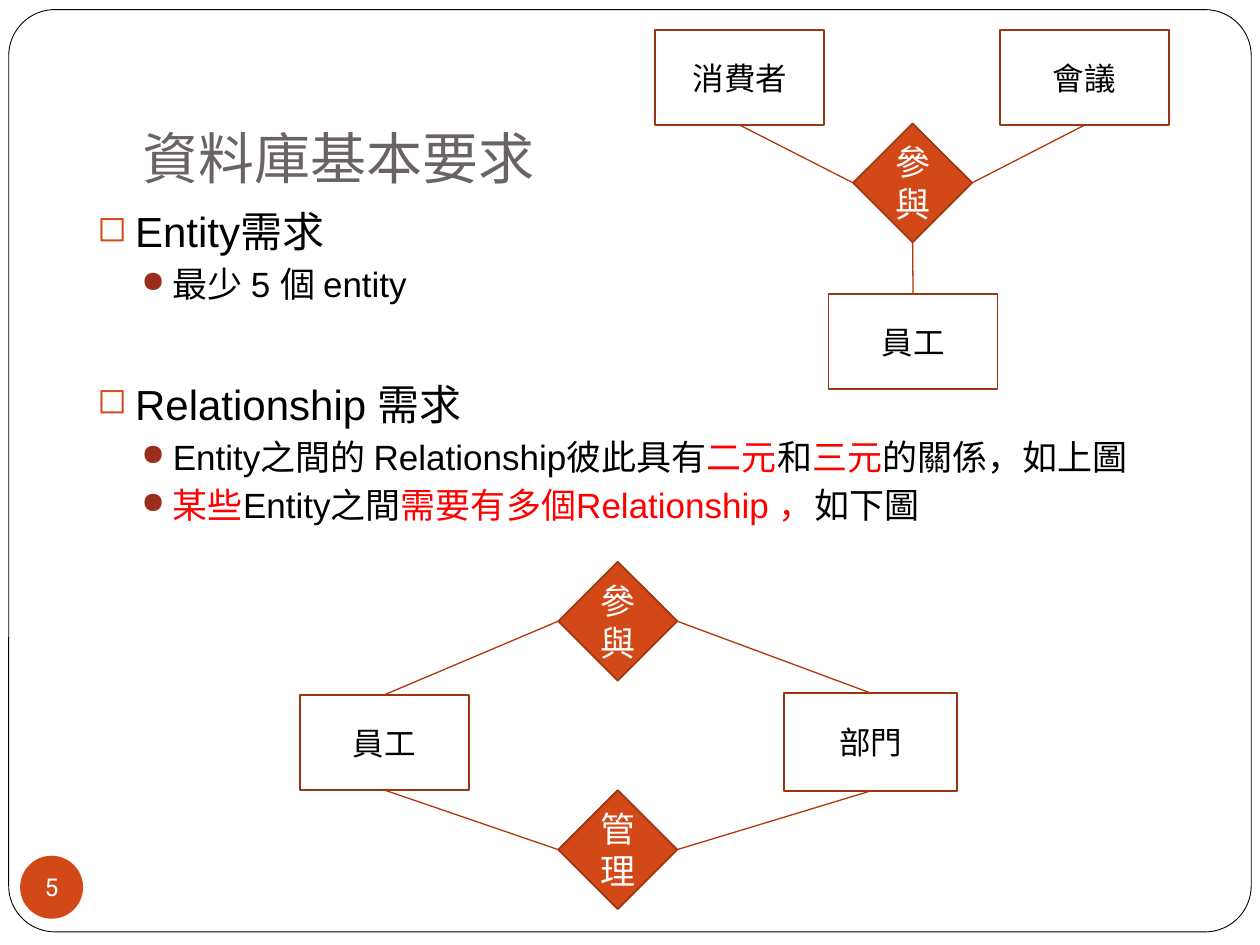
"""Build the database requirements slide with its two entity-relationship diagrams."""
from lxml import etree
from pptx import Presentation
from pptx.dml.color import RGBColor
from pptx.enum.shapes import MSO_CONNECTOR, MSO_SHAPE
from pptx.enum.text import MSO_ANCHOR, MSO_AUTO_SIZE, PP_ALIGN
from pptx.oxml.ns import qn
from pptx.util import Pt

RECT, DIAMOND = MSO_SHAPE.RECTANGLE, MSO_SHAPE.DIAMOND
TOP, LEFT, BOTTOM, RIGHT = range(4)
COLORS = {
    "white": "FFFFFF", "black": "000000", "title": "6A6363", "accent": "D34817",
    "outline": "9C3511", "link": "B1360B", "dot": "9B2D1F", "red": "FF0000",
}
SERIF, SANS, NUMERAL = "Times New Roman", "Arial", "Roboto"
TITLE = "資料庫基本要求"
PAGE_NUMBER = "5"

LEVELS = [
    {"size": 24, "left": 21.6, "hang": 21.6, "bullet": "◻", "color": "accent"},
    {"size": 20, "left": 43.2, "hang": 18, "bullet": "●", "color": "dot"},
]
BODY = [
    (0, 5.8, [("Entity需求", "black")]),
    (1, 3.7, [("最少 5 個 entity", "black")]),
    (0, 42, [("Relationship 需求", "black")]),
    (1, 3.7, [("Entity之間的 Relationship彼此具有", "black"), ("二元", "red"),
              ("和", "black"), ("三元", "red"), ("的關係，如上圖", "black")]),
    (1, 3.7, [("某些", "red"), ("Entity之間", "black"),
              ("需要有多個Relationship ，", "red"), ("如下圖", "black")]),
]

ENTITY_SIZE, RELATION_SIZE = (96.5, 54.5), (68, 68)
NODES = {
    "consumer": (RECT, "消費者", 374.5, 17, ENTITY_SIZE),
    "meeting": (RECT, "會議", 571.5, 17, ENTITY_SIZE),
    "staff above": (RECT, "員工", 473.5, 168, ENTITY_SIZE),
    "joins above": (DIAMOND, "參與", 487.5, 70.5, RELATION_SIZE),
    "staff below": (RECT, "員工", 171.5, 397, ENTITY_SIZE),
    "department": (RECT, "部門", 448, 396, (99, 56)),
    "joins below": (DIAMOND, "參與", 319, 321, RELATION_SIZE),
    "manages": (DIAMOND, "管理", 319, 451.5, RELATION_SIZE),
}
LINKS = [
    ("consumer", BOTTOM, "joins above", LEFT),
    ("meeting", BOTTOM, "joins above", RIGHT),
    ("joins above", BOTTOM, "staff above", TOP),
    ("staff below", TOP, "joins below", LEFT),
    ("staff below", BOTTOM, "manages", LEFT),
    ("joins below", RIGHT, "department", TOP),
    ("manages", RIGHT, "department", BOTTOM),
]


def rgb(name):
    return RGBColor.from_string(COLORS[name])


def add_span(para, text, size, font, color):
    span = para.add_run()
    span.text = text
    span.font.size = Pt(size)
    span.font.name = font
    span.font.color.rgb = rgb(color)


def add_box(kind, left, top, width, height, fill=None, line=None, weight=1):
    box = page.shapes.add_shape(kind, Pt(left), Pt(top), Pt(width), Pt(height))
    box.shadow.inherit = False
    if fill:
        box.fill.solid()
        box.fill.fore_color.rgb = rgb(fill)
    else:
        box.fill.background()
    if line:
        box.line.color.rgb = rgb(line)
        box.line.width = Pt(weight)
    else:
        box.line.fill.background()
    return box


def label(box, text, size, font, color):
    box.text_frame.vertical_anchor = MSO_ANCHOR.MIDDLE
    para = box.text_frame.paragraphs[0]
    para.alignment = PP_ALIGN.CENTER
    add_span(para, text, size, font, color)


def set_bullet(para, level):
    props = para._p.get_or_add_pPr()
    props.set("marL", str(Pt(level["left"])))
    props.set("indent", str(-Pt(level["hang"])))
    tint = etree.SubElement(props, qn("a:buClr"))
    etree.SubElement(tint, qn("a:srgbClr"), val=COLORS[level["color"]])
    etree.SubElement(props, qn("a:buSzPct"), val="85000")
    etree.SubElement(props, qn("a:buChar"), char=level["bullet"])


deck = Presentation()
deck.slide_width, deck.slide_height = Pt(720), Pt(540)
page = deck.slides.add_slide(deck.slide_layouts[5])

title = page.shapes.title
title.left, title.top, title.width, title.height = Pt(74), Pt(26), Pt(612), Pt(90)
frame = title.text_frame
frame.auto_size = MSO_AUTO_SIZE.NONE
frame.vertical_anchor = MSO_ANCHOR.BOTTOM
frame.margin_bottom = Pt(7.2)
frame.paragraphs[0].alignment = PP_ALIGN.LEFT
add_span(frame.paragraphs[0], TITLE, 32, SERIF, "title")

border = add_box(MSO_SHAPE.ROUNDED_RECTANGLE, 5, 5.5, 710, 527, "white", "black", 0.5)
border.adjustments[0] = 0.05
title.element.addprevious(border.element)

badge = add_box(MSO_SHAPE.OVAL, 11.5, 489, 36, 36, "accent")
frame = badge.text_frame
frame.margin_left = frame.margin_right = frame.margin_top = frame.margin_bottom = 0
frame.word_wrap = False
label(badge, PAGE_NUMBER, 14, NUMERAL, "white")

body = page.shapes.add_textbox(Pt(48.5), Pt(114), Pt(636), Pt(360))
frame = body.text_frame
frame.word_wrap = True
for index, (depth, gap, spans) in enumerate(BODY):
    para = frame.add_paragraph() if index else frame.paragraphs[0]
    para.level = depth
    para.space_before = Pt(gap)
    set_bullet(para, LEVELS[depth])
    for text, color in spans:
        add_span(para, text, LEVELS[depth]["size"], SANS, color)

nodes = {}
for name, (kind, text, left, top, size) in NODES.items():
    relation = kind == DIAMOND
    nodes[name] = add_box(kind, left, top, *size, "accent" if relation else None, "outline")
    label(nodes[name], text, 20 if relation else 18, SERIF, "white" if relation else "black")

for start, start_side, end, end_side in LINKS:
    link = page.shapes.add_connector(MSO_CONNECTOR.STRAIGHT, 0, 0, 0, 0)
    link.begin_connect(nodes[start], start_side)
    link.end_connect(nodes[end], end_side)
    link.line.color.rgb = rgb("link")
    link.line.width = Pt(0.75)
    etree.SubElement(link.element.spPr, qn("a:effectLst"))

deck.save("out.pptx")
